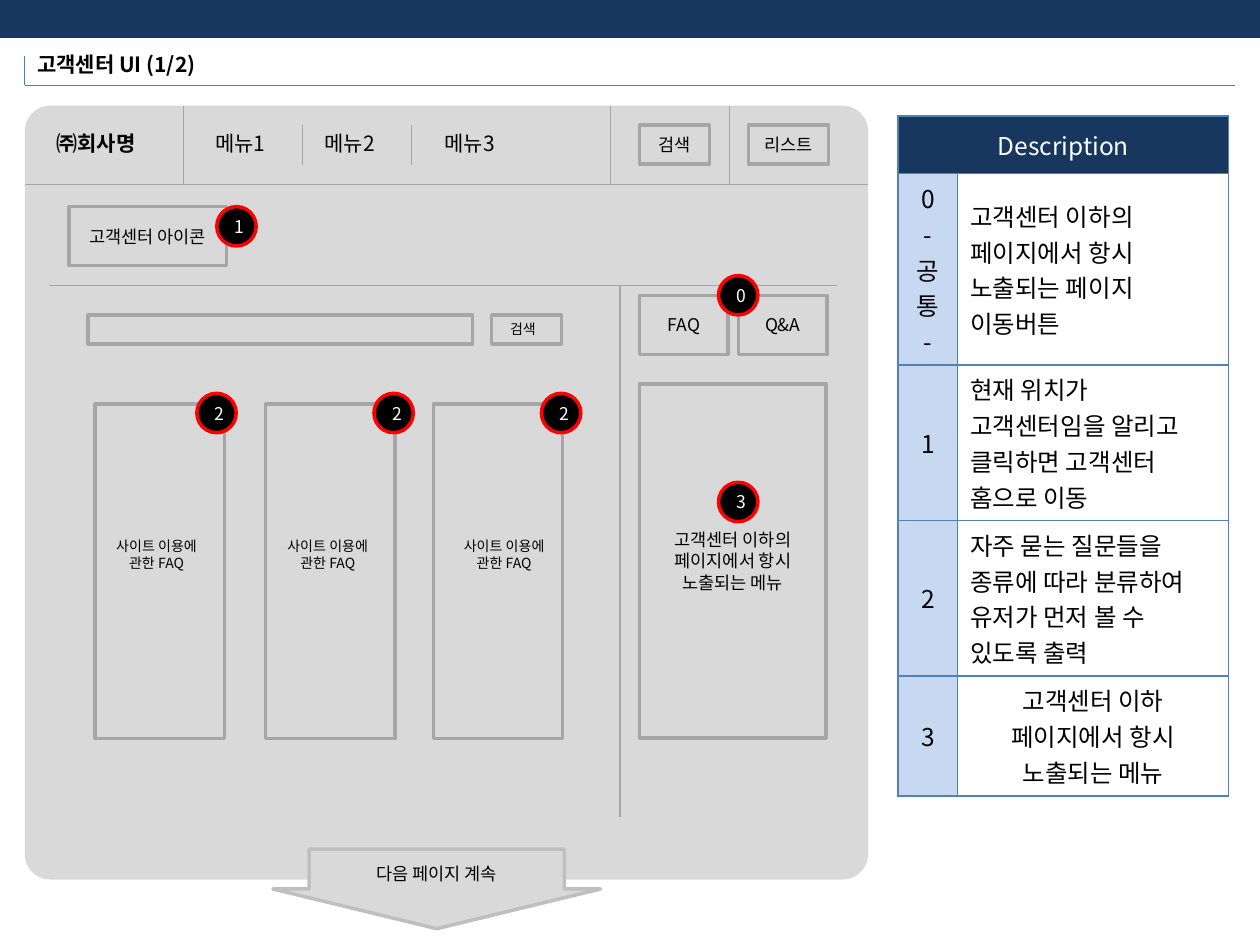
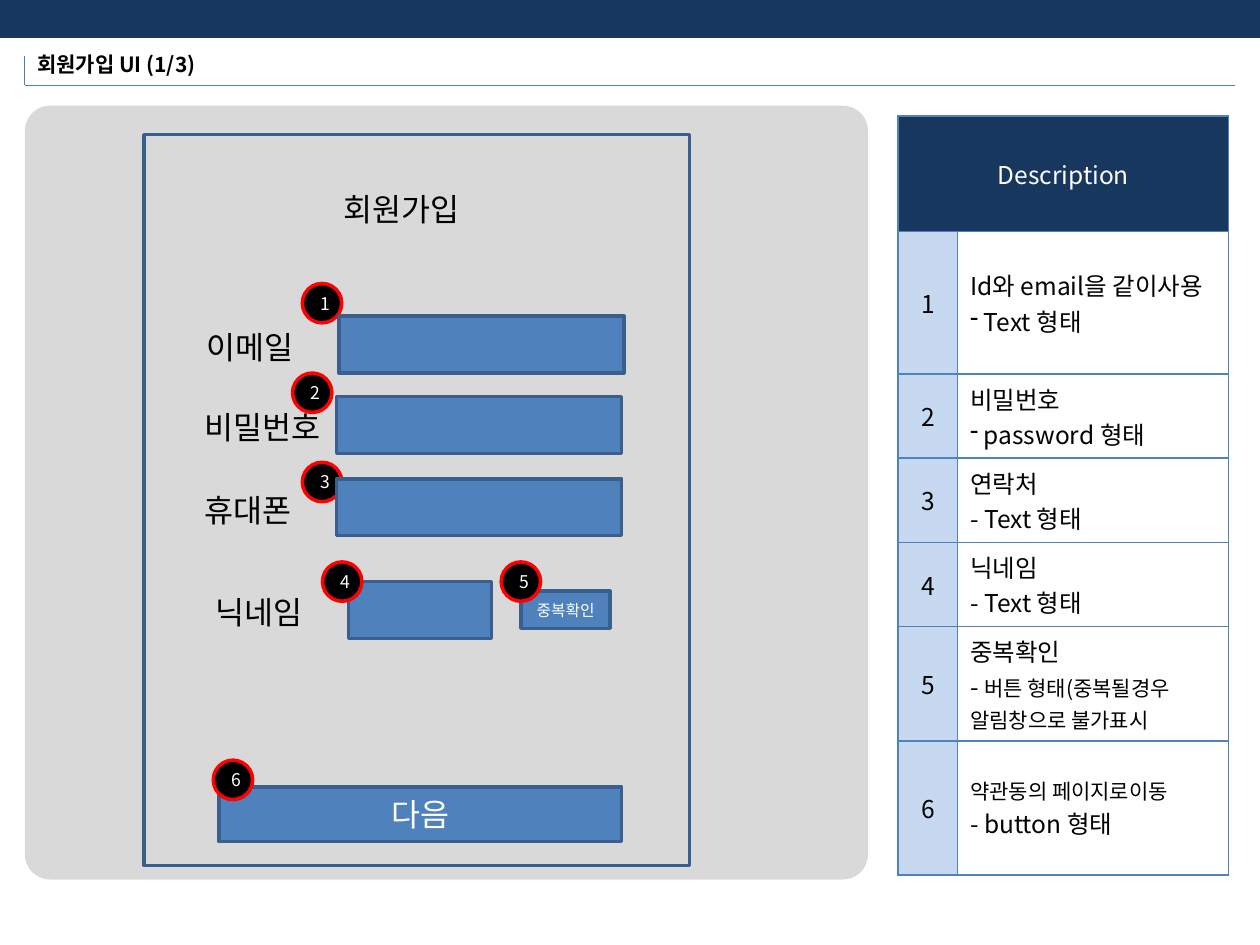
import collections

import pptx
import pptx.dml.color
import pptx.enum.shapes
import pptx.enum.text
import pptx.oxml.ns
import pptx.util
from lxml import etree

Pt = pptx.util.Pt
SHAPE = pptx.enum.shapes.MSO_SHAPE
ALIGN = pptx.enum.text.PP_ALIGN
ANCHOR = pptx.enum.text.MSO_ANCHOR
qn = pptx.oxml.ns.qn

FONT = "Noto Sans CJK KR"
COLORS = {
    "navy": "17375E", "rule": "4B7EBC", "border": "4F81BD", "field": "4F81BD",
    "field_edge": "3A5F8C", "number": "C6D9F1", "white": "FFFFFF",
    "black": "000000", "red": "FF0000", "panel": "D9D9D9",
    "wire": "A6A6A6", "arrow_edge": "BFBFBF",
}

# A table line made of (text, size) spans, with an optional bullet character
Line = collections.namedtuple("Line", "spans bullet", defaults=[""])


# ---- Formatting helpers ----
def rgb(name):
    return pptx.dml.color.RGBColor.from_string(COLORS[name])


def apply(target, values):
    for name, value in values.items():
        setattr(target, name, value)


def add_span(para, text, size, color, bold=False):
    span = para.add_run()
    span.text = text
    apply(span.font, {"name": FONT, "size": Pt(size), "bold": bold})
    span.font.color.rgb = rgb(color)
    east_asian = etree.SubElement(span.font._element, qn("a:ea"))
    east_asian.set("typeface", FONT)


def write_lines(frame, lines, size, color="black", align=ALIGN.LEFT, bold=False):
    for index, line in enumerate(lines):
        para = frame.paragraphs[0] if index == 0 else frame.add_paragraph()
        para.alignment = align
        if isinstance(line, str):
            line = Line([(line, size)])
        if line.bullet:
            properties = para._p.get_or_add_pPr()
            properties.set("marL", "0")
            properties.set("indent", "0")
            etree.SubElement(properties, qn("a:buChar")).set("char", line.bullet)
        for text, span_size in line.spans:
            add_span(para, text, span_size, color, bold)


# ---- Kinds of element ----
def add_box(shapes, at, lines=(), fill=None, edge=None, size=10, color="black",
            kind=SHAPE.RECTANGLE, adjust=()):
    box = shapes.add_shape(kind, *map(Pt, at))
    box.shadow.inherit = False
    for index, value in enumerate(adjust):
        box.adjustments[index] = value
    if fill:
        box.fill.solid()
        box.fill.fore_color.rgb = rgb(fill)
    else:
        box.fill.background()
    if edge:
        box.line.width = Pt(2)
        box.line.color.rgb = rgb(edge)
    else:
        box.line.fill.background()
    box.text_frame.vertical_anchor = ANCHOR.MIDDLE
    write_lines(box.text_frame, lines, size, color, ALIGN.CENTER)


def add_field(shapes, at, lines=(), size=18):
    add_box(shapes, at, lines, "field", "field_edge", size, "white")


def add_badge(shapes, left, top, number):
    add_box(shapes, (left, top, 22.5, 22.5), [number], "black", "red",
            color="white", kind=SHAPE.OVAL)


def add_label(shapes, at, lines, size, align=ALIGN.LEFT, bold=False, wrap=False):
    box = shapes.add_textbox(*map(Pt, at))
    apply(box.text_frame, {
        "word_wrap": wrap,
        "auto_size": pptx.enum.text.MSO_AUTO_SIZE.SHAPE_TO_FIT_TEXT,
    })
    write_lines(box.text_frame, lines, size, align=align, bold=bold)


def add_rule(shapes, start, end, color="wire"):
    rule = shapes.add_connector(pptx.enum.shapes.MSO_CONNECTOR.STRAIGHT,
                                *map(Pt, start + end))
    rule.line.width = Pt(0.75)
    rule.line.color.rgb = rgb(color)
    etree.SubElement(rule._element.spPr, qn("a:effectLst"))


def format_cell(cell, fill):
    cell.vertical_anchor = ANCHOR.MIDDLE
    properties = cell._tc.get_or_add_tcPr()
    for side in ("a:lnL", "a:lnR", "a:lnT", "a:lnB"):
        line = etree.SubElement(properties, qn(side), w=str(Pt(1)))
        solid = etree.SubElement(line, qn("a:solidFill"))
        etree.SubElement(solid, qn("a:srgbClr"), val=COLORS["border"])
    cell.fill.solid()
    cell.fill.fore_color.rgb = rgb(fill)


def add_description(shapes, heights, rows):
    """rows holds (number lines, description lines, description alignment)."""
    widths = (34, 154.8)
    holder = shapes.add_table(len(heights), 2, Pt(513.2), Pt(66.2),
                              Pt(sum(widths)), Pt(sum(heights)))
    table = holder.table
    apply(table, {"first_row": False, "horz_banding": False})
    for column, width in zip(table.columns, widths):
        column.width = Pt(width)
    for row, height in zip(table.rows, heights):
        row.height = Pt(height)
    for column in range(2):
        format_cell(table.cell(0, column), "navy")
    table.cell(0, 0).merge(table.cell(0, 1))
    write_lines(table.cell(0, 0).text_frame, ["Description"], 14, "white", ALIGN.CENTER)
    for index, (number, body, align) in enumerate(rows, start=1):
        contents = ((number, "number", ALIGN.CENTER), (body, "white", align))
        for column, (lines, fill, alignment) in enumerate(contents):
            cell = table.cell(index, column)
            format_cell(cell, fill)
            write_lines(cell.text_frame, lines, 14, align=alignment)


def add_page(deck, title, heights, rows):
    """Everything the pages share: band, title, description and panel."""
    page = deck.slides.add_slide(deck.slide_layouts[6])
    shapes = page.shapes
    add_box(shapes, (0, 0, 720, 21), fill="navy", edge="navy")
    add_rule(shapes, (14.2, 31.8), (14.2, 48.8), "rule")
    add_rule(shapes, (14.2, 48.8), (705.6, 48.8), "rule")
    add_description(shapes, heights, rows)
    add_label(shapes, (14.2, 26, 112.3, 21.8), [title], 12, bold=True)
    add_box(shapes, (14.2, 60.4, 481.9, 442.2), fill="panel",
            kind=SHAPE.ROUNDED_RECTANGLE, adjust=[0.033])
    return shapes


# ---- Pages ----
def build_support_page(deck):
    left = ALIGN.LEFT
    rows = [
        (["0", "-", "공통", "-"],
         ["고객센터 이하의 페이지에서 항시 노출되는 페이지 이동버튼"], left),
        (["1"], ["현재 위치가 고객센터임을 알리고 클릭하면 고객센터 홈으로 이동"], left),
        (["2"], ["자주 묻는 질문들을 종류에 따라 분류하여 유저가 먼저 볼 수 있도록 출력"], left),
        (["3"], ["고객센터 이하 페이지에서 항시 노출되는 메뉴"], ALIGN.CENTER),
    ]
    shapes = add_page(deck, "고객센터 UI (1/2)", [33.1] * 5, rows)
    add_box(shapes, (156, 485.3, 187.2, 45.4), ["다음 페이지 계속"], "panel",
            "arrow_edge", kind=SHAPE.DOWN_ARROW, adjust=[0.779, 0.5])

    # Menu bar
    add_label(shapes, (25.2, 71.3, 63.4, 21.8), ["㈜회사명"], 12, bold=True)
    for number, x in enumerate((115.9, 178.4, 247), start=1):
        add_label(shapes, (x, 71.3, 45.2, 21.8), [f"메뉴{number}"], 12, wrap=True)
    add_rule(shapes, (14.2, 105.6), (496.1, 105.6))
    for x in (104.9, 348.7, 416.8):
        add_rule(shapes, (x, 105.6), (x, 60.4))
    for x in (172.8, 235.2):
        add_rule(shapes, (x, 94.3), (x, 71.3))

    # Dividers below the menu bar
    add_rule(shapes, (28.2, 163.2), (478.1, 163.2))
    add_rule(shapes, (354.3, 163.2), (354.3, 466.6))

    # Wireframe boxes
    for at, lines in (
        ((365.5, 71.3, 39.9, 22.6), ["검색"]),
        ((427.7, 71.3, 45.9, 22.6), ["리스트"]),
        ((281, 179.9, 39.9, 16.8), []),
        ((50.4, 179.9, 219.6, 16.8), []),
        ((365.5, 168.8, 50.6, 33.8), ["FAQ"]),
        ((422, 168.8, 50.6, 33.8), ["Q&A"]),
        ((39.4, 118.1, 90, 33.8), ["고객센터 아이콘"]),
        ((365.5, 219.4, 106.6, 202.3),
         ["고객센터 이하의", "페이지에서 항시", "노출되는 메뉴"]),
    ):
        add_box(shapes, at, lines, edge="wire")
    add_label(shapes, (284.4, 179.9, 31, 17), ["검색"], 8)

    # FAQ columns
    for box_x, label_x, badge_x in ((54.4, 56.4, 112.5), (151.8, 154.2, 213.7),
                                    (247.7, 255, 309.4)):
        add_box(shapes, (box_x, 230.7, 73.9, 191.3), edge="wire")
        add_label(shapes, (label_x, 303.8, 66.2, 26.6),
                  ["사이트 이용에", "관한 FAQ"], 8, ALIGN.CENTER)
        add_badge(shapes, badge_x, 224.8, "2")

    for x, y, number in ((410.6, 275.6, "3"), (123.9, 118.1, "1"), (410.6, 157.5, "0")):
        add_badge(shapes, x, y, number)


def build_signup_page(deck):
    bodies = [
        ["Id와 email을 같이사용", Line([(" Text 형태", 14)], "-")],
        ["비밀번호", Line([(" password 형태", 14)], "-")],
        ["연락처", "- Text 형태"],
        ["닉네임", "- Text 형태"],
        ["중복확인",
         Line([("- ", 14), ("버튼 형태(중복될경우 알림창으로 불가표시", 12)])],
        [Line([("약관동의 페이지로이동", 12)]), "- button 형태"],
    ]
    rows = [([str(number)], body, ALIGN.LEFT)
            for number, body in enumerate(bodies, start=1)]
    heights = [66.2, 81.4, 41, 41, 41, 50.4, 76.6]
    shapes = add_page(deck, "회원가입 UI (1/3)", heights, rows)
    for x, y, number in ((172.8, 162, "1"), (167.2, 213.2, "2"), (172.8, 264.2, "3")):
        add_badge(shapes, x, y, number)

    # Sign-up form
    form = shapes.add_group_shape().shapes
    add_box(form, (82.2, 77, 311.9, 417.6), edge="field_edge")
    add_label(form, (189.4, 105.1, 85.7, 29), ["회원가입"], 18)
    for name, label_x, width, field_x, y in (
        ("이메일", 110.9, 67.7, 193.6, 180.6),
        ("비밀번호", 109.6, 85.7, 192.3, 226.6),
        ("휴대폰", 109.6, 67.7, 192.3, 273.6),
    ):
        add_field(form, (field_x, y, 162.9, 32.5))
        add_label(form, (label_x, y + 3.2, width, 29), [name], 18)
    add_field(form, (125, 449.6, 230.2, 31.2), ["다음"])

    # Nickname row
    nickname = shapes.add_group_shape().shapes
    add_field(nickname, (199.2, 332.4, 81.6, 32.5))
    add_label(nickname, (115.9, 335.5, 69.1, 29), ["닉네임"], 18)
    add_field(shapes, (297.6, 337.9, 51.1, 21.2), ["중복확인"], 9)

    for x, y, number in ((184.3, 321.1, "4"), (286.4, 321.1, "5"), (121.9, 434.4, "6")):
        add_badge(shapes, x, y, number)


def main():
    deck = pptx.Presentation()
    apply(deck, {"slide_width": Pt(720), "slide_height": Pt(540)})
    build_support_page(deck)
    build_signup_page(deck)
    deck.save("out.pptx")


main()
